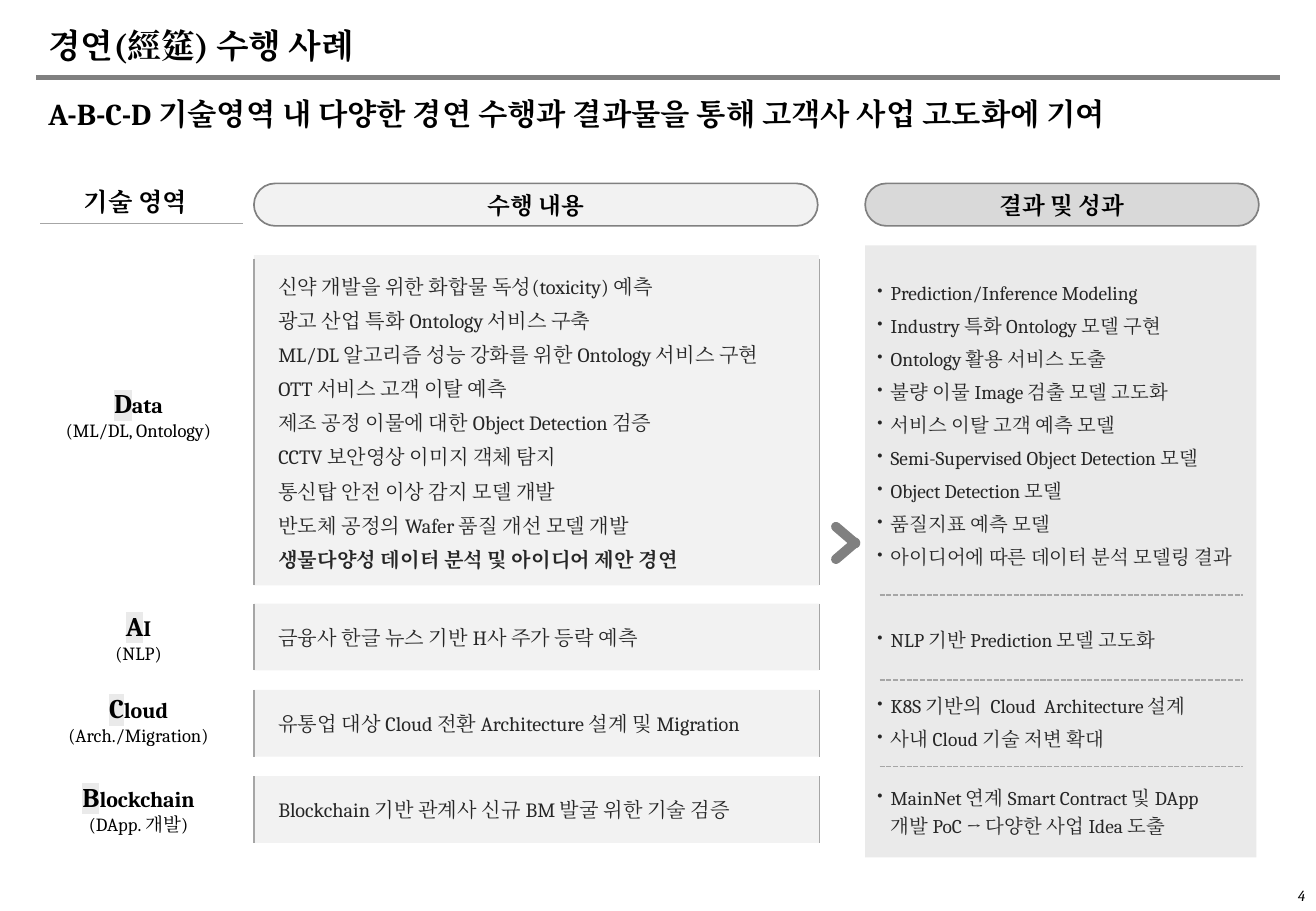
from dataclasses import dataclass

from lxml.etree import SubElement
from pptx import Presentation
from pptx.dml.color import RGBColor
from pptx.enum.dml import MSO_LINE
from pptx.enum.shapes import MSO_CONNECTOR, MSO_SHAPE
from pptx.enum.text import MSO_ANCHOR, PP_ALIGN
from pptx.oxml import parse_xml
from pptx.oxml.ns import nsdecls, qn
from pptx.util import Inches, Pt


@dataclass(frozen=True)
class Theme:
    """Colours, type sizes and font of the slide."""
    font: str = "Cambria"
    black: str = "000000"
    ink: str = "262626"
    rule: str = "808080"
    edge: str = "A6A6A6"
    panel: str = "F2F2F2"
    header: str = "D9D9D9"
    results: str = "EAEAEA"
    title: float = 20
    message: float = 18
    initial: float = 16
    area: float = 15
    heading: float = 14
    name: float = 13
    task: float = 12
    result: float = 11.5
    detail: float = 11
    number: float = 9


THEME = Theme()

ROWS = [
    dict(initial="D", rest="ata", detail="(ML/DL, Ontology)", label_top=3.13,
         panel=(2.1, 2.72),
         tasks=["신약 개발을 위한 화합물 독성(toxicity) 예측",
                "광고 산업 특화 Ontology 서비스 구축",
                "ML/DL 알고리즘 성능 강화를 위한 Ontology 서비스 구현",
                "OTT 서비스 고객 이탈 예측",
                "제조 공정 이물에 대한 Object Detection 검증",
                "CCTV 보안영상 이미지 객체 탐지",
                "통신탑 안전 이상 감지 모델 개발",
                "반도체 공정의 Wafer 품질 개선 모델 개발",
                "생물다양성 데이터 분석 및 아이디어 제안 경연"],
         result_box=(2.24, 2.48),
         results=["Prediction/Inference Modeling",
                  "Industry 특화 Ontology 모델 구현",
                  "Ontology 활용 서비스 도출",
                  "불량 이물 Image 검출 모델 고도화",
                  "서비스 이탈 고객 예측 모델",
                  "Semi-Supervised Object Detection 모델",
                  "Object Detection 모델",
                  "품질지표 예측 모델",
                  "아이디어에 따른 데이터 분석 모델링 결과"]),
    dict(initial="A", rest="I", detail="(NLP)", label_top=4.96,
         panel=(4.97, 0.55),
         tasks=["금융사 한글 뉴스 기반 H사 주가 등락 예측"],
         result_box=(5.1, 0.29),
         results=["NLP 기반 Prediction 모델 고도화"]),
    dict(initial="C", rest="loud", detail="(Arch./Migration)", label_top=5.64,
         panel=(5.68, 0.55),
         tasks=["유통업 대상 Cloud 전환 Architecture 설계 및 Migration"],
         result_box=(5.65, 0.56),
         results=["K8S 기반의  Cloud  Architecture 설계",
                  "사내 Cloud 기술 저변 확대"]),
    dict(initial="B", rest="lockchain", detail="(DApp. 개발)", label_top=6.37,
         panel=(6.39, 0.55),
         tasks=["Blockchain 기반 관계사 신규 BM 발굴 위한 기술 검증"],
         result_box=(6.4, 0.52),
         results=["MainNet 연계 Smart Contract 및 DApp\n개발 PoC → 다양한 사업 Idea 도출"]),
]


def add_span(para, text, size, color=THEME.black, bold=False, highlight=None):
    """Add one formatted run."""
    span = para.add_run()
    span.text = text
    font = span.font
    font.size, font.bold, font.name = Pt(size), bold, THEME.font
    font.color.rgb = RGBColor.from_string(color)
    latin = font._element.find(qn("a:latin"))
    latin.addnext(parse_xml(f'<a:ea {nsdecls("a")} typeface="{THEME.font}"/>'))
    if highlight:
        latin.addprevious(parse_xml(
            f'<a:highlight {nsdecls("a")}><a:srgbClr val="{highlight}"/></a:highlight>'))
    return span


def add_para(frame, index, align=PP_ALIGN.LEFT):
    """Return the paragraph for a zero-based index, adding it when needed."""
    para = frame.add_paragraph() if index else frame.paragraphs[0]
    para.alignment = align
    return para


def space_list(para, index):
    """Apply the list spacing."""
    para.line_spacing = 1.2
    if index:
        para.space_before = Pt(3)


def set_frame(frame, left=0.05, other=0.05, anchor=MSO_ANCHOR.MIDDLE):
    """Set insets, wrapping and anchoring."""
    frame.word_wrap = True
    frame.vertical_anchor = anchor
    frame.margin_left = Inches(left)
    frame.margin_top = frame.margin_right = frame.margin_bottom = Inches(other)


def add_text(page, left, top, width, height, inset=0.05, other=0.05):
    """Add a text box and return its frame."""
    box = page.shapes.add_textbox(Inches(left), Inches(top), Inches(width), Inches(height))
    set_frame(box.text_frame, inset, other)
    return box.text_frame


def add_box(page, left, top, width, height, fill, line=None, rounded=False):
    """Add a filled rectangle or pill."""
    kind = MSO_SHAPE.ROUNDED_RECTANGLE if rounded else MSO_SHAPE.RECTANGLE
    box = page.shapes.add_shape(kind, Inches(left), Inches(top), Inches(width), Inches(height))
    box.shadow.inherit = False
    if rounded:
        box.adjustments[0] = 0.5
    box.fill.solid()
    box.fill.fore_color.rgb = RGBColor.from_string(fill)
    if line:
        box.line.color.rgb = RGBColor.from_string(line)
        box.line.width = Pt(1)
    else:
        box.line.fill.background()
    return box


def add_rule(page, x1, y1, x2, y2, color=THEME.edge, width=1, dash=None):
    """Add a straight line."""
    rule = page.shapes.add_connector(
        MSO_CONNECTOR.STRAIGHT, Inches(x1), Inches(y1), Inches(x2), Inches(y2))
    rule.line.color.rgb = RGBColor.from_string(color)
    rule.line.width = Pt(width)
    if dash:
        rule.line.dash_style = dash
    SubElement(rule._element.spPr, qn("a:effectLst"))


def add_heading(page, left, width, fill, text):
    """Add a pill-shaped column heading."""
    pill = add_box(page, left, 1.51, width, 0.35, fill, THEME.rule, rounded=True)
    set_frame(pill.text_frame, 0.04, 0.04)
    add_span(add_para(pill.text_frame, 0, PP_ALIGN.CENTER), text, THEME.heading, bold=True)


def add_label(page, row):
    """Add the technology area of a row."""
    frame = add_text(page, 0.28, row["label_top"], 1.72, 0.56)
    name = add_para(frame, 0, PP_ALIGN.CENTER)
    add_span(name, row["initial"], THEME.initial, bold=True, highlight=THEME.results)
    add_span(name, row["rest"], THEME.name, bold=True)
    add_span(add_para(frame, 1, PP_ALIGN.CENTER), row["detail"], THEME.detail)


def add_tasks(page, row):
    """Add the work panel of a row with its side lines."""
    top, height = row["panel"]
    panel = add_box(page, 2.09, top, 4.65, height, THEME.panel)
    set_frame(panel.text_frame, 0.2)
    tasks = row["tasks"]
    for index, task in enumerate(tasks):
        para = add_para(panel.text_frame, index)
        if len(tasks) > 1:
            space_list(para, index)
        add_span(para, task, THEME.task, THEME.ink, bold=0 < index == len(tasks) - 1)
    start = top + 0.03 if len(tasks) > 1 else top
    for x, width in ((2.09, 1), (6.74, 0.5)):
        add_rule(page, x, start, x, top + height, width=width)


def add_results(page, row):
    """Add the bulleted results of a row."""
    top, height = row["result_box"]
    frame = add_text(page, 7.18, top, 3.18, height, 0.04, 0.04)
    for index, result in enumerate(row["results"]):
        para = add_para(frame, index)
        properties = para._p.get_or_add_pPr()
        properties.set("marL", str(Inches(0.11)))
        properties.set("indent", str(-Inches(0.11)))
        SubElement(properties, qn("a:buSzPct"), val="80000")
        SubElement(properties, qn("a:buChar"), char="•")
        space_list(para, index)
        for number, line in enumerate(result.split("\n")):
            if number:
                para.add_line_break()
            add_span(para, line, THEME.result, THEME.ink)


def add_chevron(page):
    """Add the two-bar arrow between the columns."""
    for top, angle in ((4.26, -49.5), (4.39, 49.5)):
        add_box(page, 6.92, top, 0.08, 0.29, THEME.rule, rounded=True).rotation = angle


def main():
    """Build and save the slide."""
    deck = Presentation()
    deck.slide_width, deck.slide_height = Inches(10.83), Inches(7.5)
    page = deck.slides.add_slide(deck.slide_layouts[6])
    add_rule(page, 0.3, 0.64, 10.53, 0.64, THEME.rule, 3)
    for top, height, text, size in (
            (0.15, 0.44, "경연(經筵) 수행 사례", THEME.title),
            (0.74, 0.39, "A-B-C-D 기술영역 내 다양한 경연 수행과 결과물을 통해 고객사 사업 고도화에 기여",
             THEME.message)):
        frame = add_text(page, 0.3, top, 10.24, height, 0.1)
        add_span(add_para(frame, 0), text, size, bold=True)
    area = add_text(page, 0.28, 1.48, 1.67, 0.35)
    add_span(add_para(area, 0, PP_ALIGN.CENTER), "기술 영역", THEME.area, bold=True)
    add_rule(page, 0.33, 1.84, 2, 1.84)
    add_heading(page, 2.09, 4.64, THEME.panel, "수행 내용")
    add_heading(page, 7.12, 3.24, THEME.header, "결과 및 성과")
    add_box(page, 7.12, 2.02, 3.22, 5.04, THEME.results)
    for row in ROWS:
        add_label(page, row)
        add_tasks(page, row)
        add_results(page, row)
    for y in (4.9, 5.6, 6.31):
        add_rule(page, 7.24, y, 10.23, y, dash=MSO_LINE.SQUARE_DOT)
    add_chevron(page)
    number = add_text(page, 10.42, 7.25, 0.42, 0.25, 0.1, 0.1)
    add_span(add_para(number, 0, PP_ALIGN.RIGHT), "4", THEME.number).font.italic = True
    deck.save("out.pptx")


if __name__ == "__main__":
    main()
